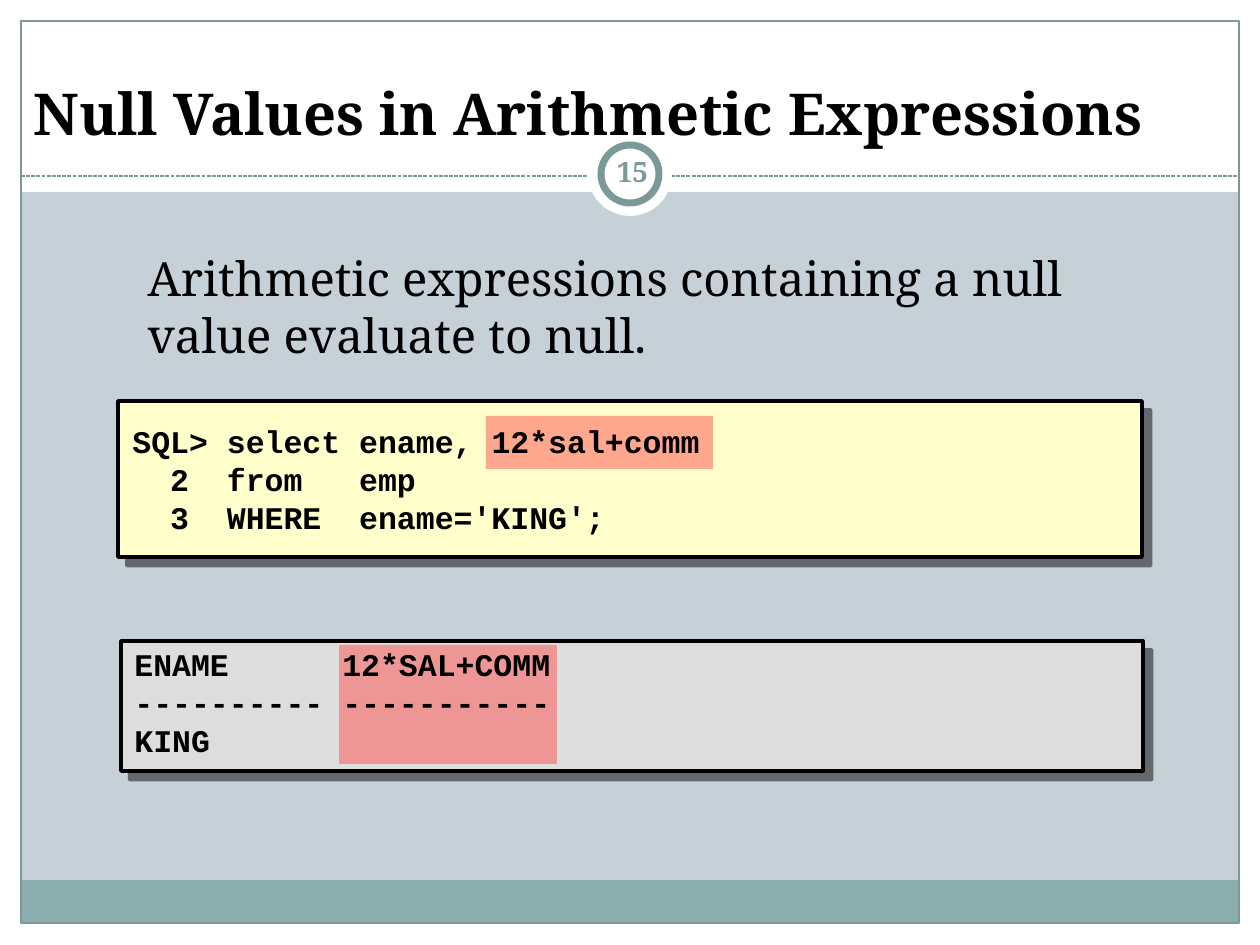
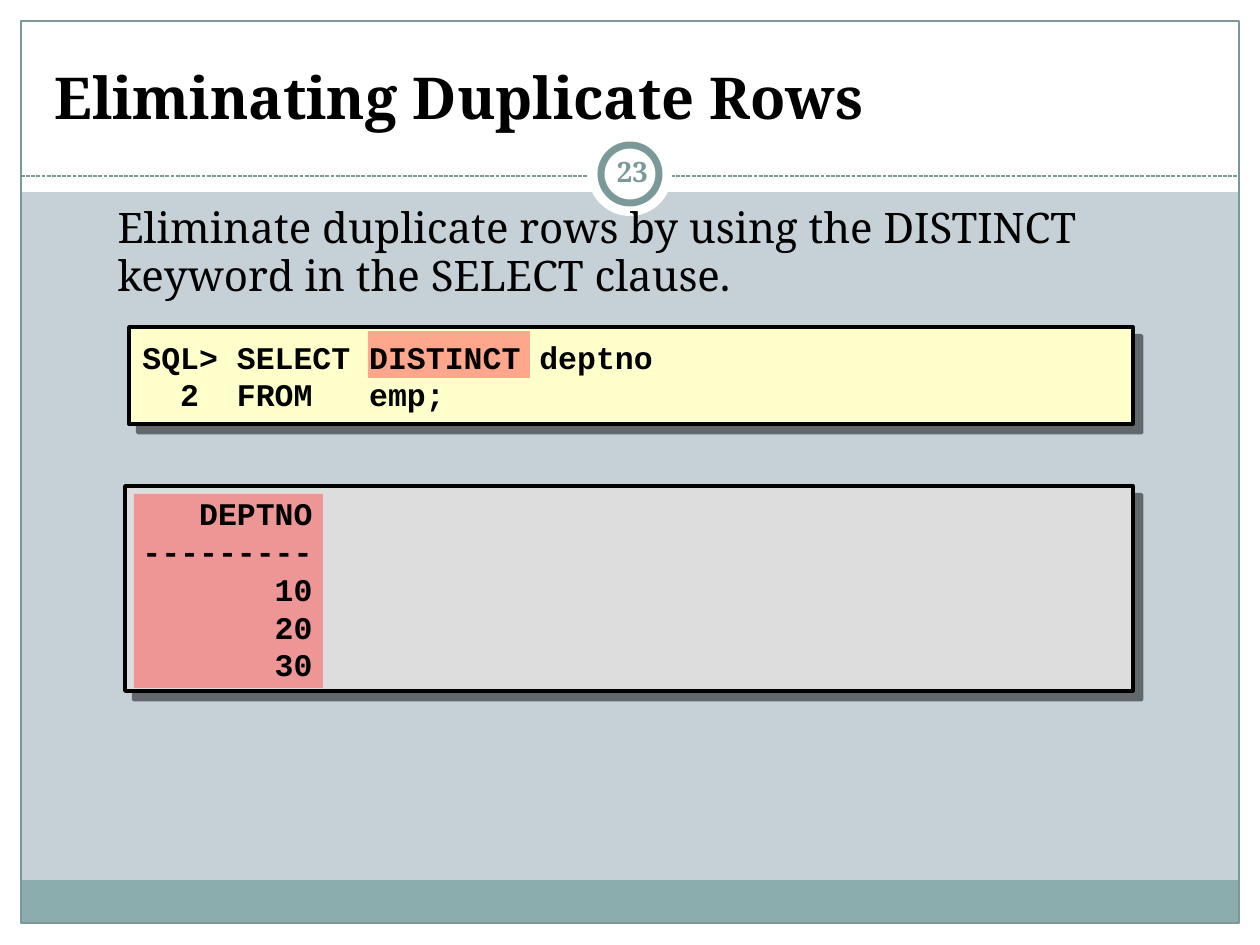
from dataclasses import dataclass

from lxml import etree
from pptx import Presentation
from pptx import util as u
from pptx.dml.color import RGBColor
from pptx.enum import dml, shapes, text
from pptx.oxml.ns import qn

# Shared look
PX_PER_INCH = 126
SLIDE_W, SLIDE_H = 1260, 945
MARGIN = 21
COLORS = {
    "background": "C5D1D7", "white": "FFFFFF", "band": "8CADAE", "rule": "7C999A",
    "ink": "000000", "code": "FFFFCC", "result": "DDDDDD", "highlight": "FF5050",
}
SERIF, MONO = "Noto Serif", "Courier New"
CODE_COLUMN = 18.9  # width of one 18 pt monospaced character


@dataclass(frozen=True)
class Box:
    left: int
    top: int
    width: int
    height: int

    def emu(self) -> list[u.Emu]:
        return [px(n) for n in (self.left, self.top, self.width, self.height)]


@dataclass(frozen=True)
class Style:
    font: str
    size: int
    color: str = "ink"
    bold: bool = False


@dataclass(frozen=True)
class Listing:
    """A shadowed panel, one highlighted area and monospaced lines with tab columns."""
    fill: str
    panel: Box
    highlight: Box
    words: Box
    lines: tuple[str, ...]
    tabs: tuple[tuple[int, str], ...]
    anchor: text.MSO_ANCHOR


@dataclass(frozen=True)
class Lesson:
    number: str
    title: str
    title_box: Box
    statement: str
    statement_box: Box
    statement_size: int
    line_spacing: float
    space_before: float
    listings: tuple[Listing, ...]


CODE = Style(MONO, 18, bold=True)
TITLE = Style(SERIF, 33, bold=True)
NUMBER = Style(SERIF, 16, "rule", True)
SQL_TABS = ((3, "r"), (5, "l"), (12, "l"))
MIDDLE, TOP = text.MSO_ANCHOR.MIDDLE, text.MSO_ANCHOR.TOP

LESSONS = (
    Lesson(
        "15", "Null Values in Arithmetic Expressions", Box(21, 32, 1207, 121),
        "Arithmetic expressions containing a null value evaluate to null.",
        Box(135, 243, 1018, 125), 27, 1.0, 5.4,
        (
            Listing("code", Box(118, 401, 1024, 156), Box(486, 416, 227, 53),
                    Box(120, 399, 1028, 160),
                    ("SQL> select ename, 12*sal+comm", "\t2\tfrom\temp",
                     "\t3\tWHERE\tename='KING';"), SQL_TABS, MIDDLE),
            Listing("result", Box(121, 641, 1022, 130), Box(339, 645, 218, 119),
                    Box(122, 639, 1026, 126),
                    ("ENAME\t12*SAL+COMM", "----------\t-----------", "KING"),
                    ((11, "l"),), TOP),
        ),
    ),
    Lesson(
        "23", "Eliminating Duplicate Rows", Box(42, 32, 1176, 105),
        "Eliminate duplicate rows by using the DISTINCT keyword in the SELECT clause.",
        Box(105, 199, 1016, 110), 24, 0.95, 1.2,
        (
            Listing("code", Box(129, 327, 1004, 97), Box(368, 331, 162, 47),
                    Box(130, 325, 1008, 101),
                    ("SQL> SELECT DISTINCT deptno", "\t2\tFROM\temp;"), SQL_TABS, MIDDLE),
            Listing("result", Box(125, 486, 1008, 205), Box(134, 494, 189, 194),
                    Box(130, 488, 1004, 205),
                    ("\tDEPTNO", "---------", "\t10", "\t20", "\t30"), ((9, "r"),), TOP),
        ),
    ),
)


def px(length: float) -> u.Emu:
    return u.Emu(round(length * 914400 / PX_PER_INCH))


def rgb(name: str) -> RGBColor:
    return RGBColor.from_string(COLORS[name])


def add_panel(slide, box: Box, fill: str | None, line: str | None = None,
              weight: float = 0, kind=shapes.MSO_SHAPE.RECTANGLE):
    panel = slide.shapes.add_shape(kind, *box.emu())
    panel.shadow.inherit = False
    if fill:
        panel.fill.solid()
        panel.fill.fore_color.rgb = rgb(fill)
    else:
        panel.fill.background()
    if line:
        panel.line.color.rgb = rgb(line)
        panel.line.width = u.Pt(weight)
    else:
        panel.line.fill.background()
    return panel


def set_alpha(color, percent: int) -> None:
    etree.SubElement(color, qn("a:alpha"), val=str(percent * 1000))


def cast_shadow(panel) -> None:
    effects = panel.element.spPr.find(qn("a:effectLst"))
    shadow = etree.SubElement(effects, qn("a:outerShdw"), dist=str(u.Pt(7.1)),
                              dir=str(45 * 60000), algn="ctr", rotWithShape="0")
    set_alpha(etree.SubElement(shadow, qn("a:srgbClr"), val=COLORS["ink"]), 50)


def write(paragraph, words: str, style: Style) -> None:
    run = paragraph.add_run()
    run.text = words
    run.font.name, run.font.size, run.font.bold = style.font, u.Pt(style.size), style.bold
    run.font.color.rgb = rgb(style.color)


def set_tabs(paragraph, tabs: tuple[tuple[int, str], ...]) -> None:
    stops = etree.SubElement(paragraph._p.get_or_add_pPr(), qn("a:tabLst"))
    for column, align in tabs:
        etree.SubElement(stops, qn("a:tab"), pos=str(px(column * CODE_COLUMN)), algn=align)


def fill_placeholder(holder, box: Box, words: str, style: Style, anchor):
    holder.left, holder.top, holder.width, holder.height = box.emu()
    frame = holder.text_frame
    frame.auto_size, frame.vertical_anchor = text.MSO_AUTO_SIZE.NONE, anchor
    paragraph = frame.paragraphs[0]
    paragraph.alignment = text.PP_ALIGN.LEFT
    write(paragraph, words, style)
    return paragraph


def add_text_frame(slide, box: Box, anchor):
    frame = slide.shapes.add_textbox(*box.emu()).text_frame
    frame.word_wrap, frame.vertical_anchor = True, anchor
    return frame


def add_listing_text(slide, listing: Listing) -> None:
    frame = add_text_frame(slide, listing.words, listing.anchor)
    for index, line in enumerate(listing.lines):
        paragraph = frame.paragraphs[0] if index == 0 else frame.add_paragraph()
        set_tabs(paragraph, listing.tabs)
        write(paragraph, line, CODE)


def furnish_master(prs, slide) -> None:
    """Draw the frame on a slide, then move it behind the master's placeholders."""
    master = prs.slide_master
    master.background.fill.solid()
    master.background.fill.fore_color.rgb = rgb("background")
    before = len(slide.shapes)

    # White margins, bottom band and thin frame
    for box in (Box(0, SLIDE_H - MARGIN, SLIDE_W, MARGIN), Box(0, 0, SLIDE_W, 192),
                Box(0, 0, MARGIN, SLIDE_H), Box(SLIDE_W - MARGIN, 0, MARGIN, SLIDE_H)):
        add_panel(slide, box, "white")
    add_panel(slide, Box(MARGIN, 880, 1218, 43), "band")
    add_panel(slide, Box(MARGIN, MARGIN, 1218, 902), None, "rule", 0.75)

    # Dashed rule with the number ring on it
    rule = slide.shapes.add_connector(shapes.MSO_CONNECTOR.STRAIGHT, px(MARGIN), px(176),
                                      px(SLIDE_W - MARGIN), px(176))
    rule.line.color.rgb, rule.line.width = rgb("rule"), u.Pt(0.75)
    rule.line.dash_style = dml.MSO_LINE.SQUARE_DOT
    etree.SubElement(rule.element.spPr, qn("a:effectLst"))
    oval = shapes.MSO_SHAPE.OVAL
    add_panel(slide, Box(588, 132, 84, 84), "white", kind=oval)
    add_panel(slide, Box(601, 145, 58, 58), "white", "rule", 4, oval)

    for offset, part in enumerate(list(slide.shapes)[before:]):
        master.shapes.element.insert(2 + offset, part.element)


def add_lesson(slide, lesson: Lesson) -> None:
    # Title and statement
    fill_placeholder(slide.shapes.title, lesson.title_box, lesson.title, TITLE,
                     text.MSO_ANCHOR.BOTTOM)
    statement = fill_placeholder(slide.placeholders[1], lesson.statement_box, lesson.statement,
                                 Style(SERIF, lesson.statement_size), TOP)
    statement.line_spacing = lesson.line_spacing
    statement.space_before = u.Pt(lesson.space_before)
    properties = statement._p.get_or_add_pPr()
    properties.set("marL", "0")
    properties.set("indent", "0")
    etree.SubElement(properties, qn("a:buNone"))

    # Query and its result
    for listing in lesson.listings:
        cast_shadow(add_panel(slide, listing.panel, listing.fill, "ink", 2))
        highlight = add_panel(slide, listing.highlight, "highlight")
        set_alpha(highlight.element.spPr.find(qn("a:solidFill"))[0], 50)
        add_listing_text(slide, listing)

    # Number in the ring
    frame = add_text_frame(slide, Box(601, 141, 63, 60), MIDDLE)
    frame.margin_left = frame.margin_right = u.Inches(0.05)
    frame.paragraphs[0].alignment = text.PP_ALIGN.CENTER
    write(frame.paragraphs[0], lesson.number, NUMBER)


def main() -> None:
    prs = Presentation()
    prs.slide_width, prs.slide_height = px(SLIDE_W), px(SLIDE_H)
    for index, lesson in enumerate(LESSONS):
        slide = prs.slides.add_slide(prs.slide_layouts[1])
        if index == 0:
            furnish_master(prs, slide)
        add_lesson(slide, lesson)
    prs.save("out.pptx")


if __name__ == "__main__":
    main()
